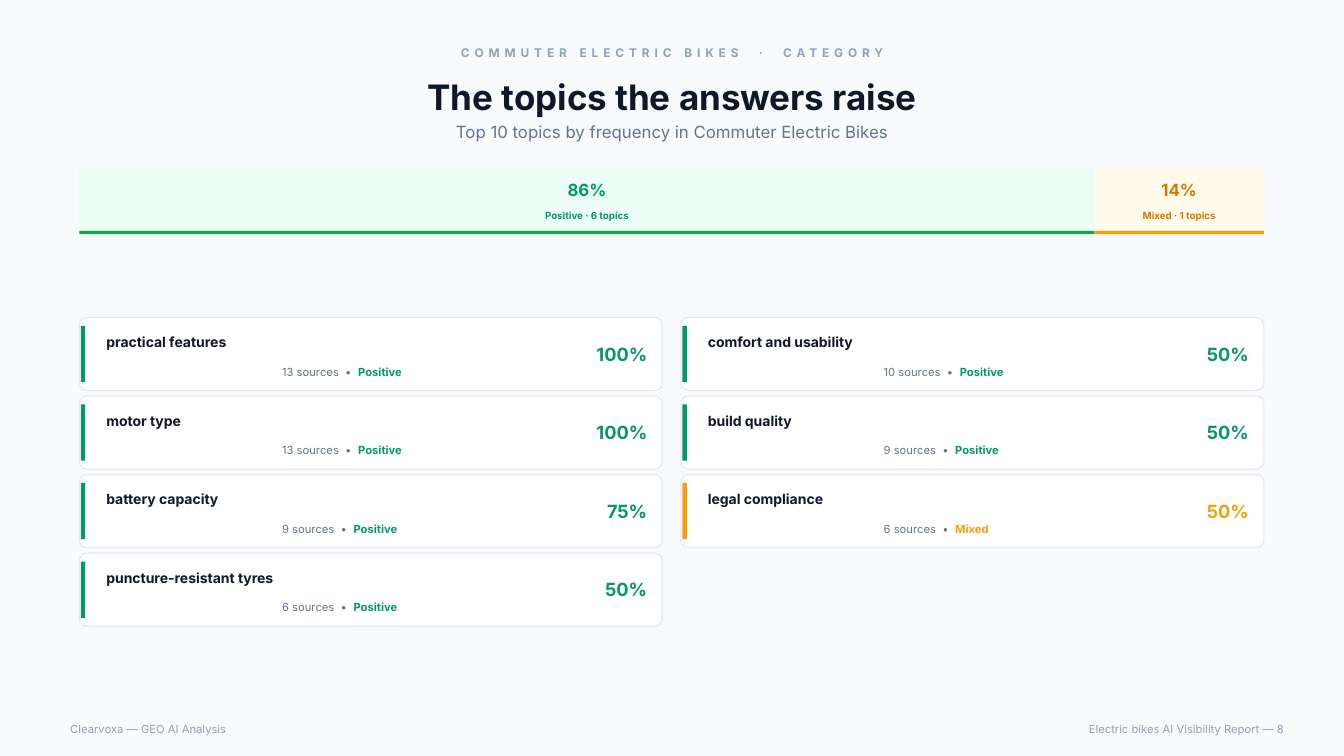
from pptx import Presentation
from pptx.dml.color import RGBColor
from pptx.enum.shapes import MSO_SHAPE
from pptx.enum.text import MSO_ANCHOR, MSO_AUTO_SIZE, PP_ALIGN
from pptx.util import Cm, Pt

LEFT, RIGHT = 2, 31.85
CENTER, END = PP_ALIGN.CENTER, PP_ALIGN.RIGHT
INK, SLATE, MUTED = "0F172A", "62748E", "90A1B9"
GREEN, AMBER = "059669", "F59E0B"

presentation = Presentation()
presentation.slide_width, presentation.slide_height = Cm(33.87), Cm(19.05)
slide = presentation.slides.add_slide(presentation.slide_layouts[5])
slide.background.fill.solid()
slide.background.fill.fore_color.rgb = RGBColor.from_string("F8FAFC")


def write(text, area, size, color, bold=False, align=PP_ALIGN.LEFT,
          anchor=MSO_ANCHOR.MIDDLE, holder=None):
    """Put one paragraph in area (left, top, width, height in cm) and return it."""
    box = holder or slide.shapes.add_textbox(0, 0, 0, 0)
    box.left, box.top, box.width, box.height = map(Cm, area)
    frame = box.text_frame
    frame.word_wrap = True
    frame.auto_size = MSO_AUTO_SIZE.NONE
    frame.vertical_anchor = anchor
    paragraph = frame.paragraphs[0]
    paragraph.add_run().text = text
    paragraph.alignment = align
    font = paragraph.font
    font.name, font.size, font.bold = "Inter", Pt(size), bold
    font.color.rgb = RGBColor.from_string(color)
    return paragraph


def draw(kind, area, fill, outline=None):
    shape = slide.shapes.add_shape(kind, *map(Cm, area))
    shape.shadow.inherit = False
    shape.fill.solid()
    shape.fill.fore_color.rgb = RGBColor.from_string(fill)
    if outline:
        shape.line.color.rgb = RGBColor.from_string(outline)
        shape.line.width = Pt(0.75)
    else:
        shape.line.fill.background()
    return shape


# Heading and footer
write("The topics the answers raise", (1.52, 1.73, 30.84, 1.42), 25, INK, True,
      CENTER, holder=slide.shapes.title)
eyebrow = write("COMMUTER ELECTRIC BIKES  ·  CATEGORY", (1.52, 1.02, 30.84, 0.64),
                8.5, MUTED, True, CENTER)
eyebrow.runs[0]._r.get_or_add_rPr().set("spc", "350")
write("Top 10 topics by frequency in Commuter Electric Bikes",
      (1.52, 3, 30.84, 0.64), 12, SLATE, align=CENTER)
write("Clearvoxa — GEO AI Analysis", (1.52, 18.08, 15.16, 0.56), 8, MUTED)
write("Electric bikes AI Visibility Report — 8", (17.3, 18.08, 15.32, 0.56),
      8, MUTED, align=END)

# Sentiment bar, split by number of topics
sentiments = [
    ("86%", "Positive", 6, "ECFDF5", "16A34A", GREEN),
    ("14%", "Mixed", 1, "FFFBEB", AMBER, "D97706"),
]
topic_total = sum(sentiment[2] for sentiment in sentiments)
left = LEFT
for share, mood, count, tint, edge, color in sentiments:
    width = (RIGHT - LEFT) * count / topic_total
    draw(MSO_SHAPE.RECTANGLE, (left, 4.24, width, 1.66), tint)
    draw(MSO_SHAPE.RECTANGLE, (left, 5.82, width, 0.08), edge)
    write(share, (left, 4.42, width, 0.71), 12, color, True, CENTER)
    write(f"{mood} · {count} topics", (left, 5.16, width, 0.56), 7, color, True, CENTER)
    left += width

# Topic cards, filled column by column
topics = [
    ("practical features", 13, "Positive", "100%"),
    ("motor type", 13, "Positive", "100%"),
    ("battery capacity", 9, "Positive", "75%"),
    ("puncture-resistant tyres", 6, "Positive", "50%"),
    ("comfort and usability", 10, "Positive", "50%"),
    ("build quality", 9, "Positive", "50%"),
    ("legal compliance", 6, "Mixed", "50%"),
]
ROWS = 4
CARD_WIDTH, CARD_HEIGHT = 14.69, 1.84
COLUMN_STEP, ROW_STEP = RIGHT - LEFT - CARD_WIDTH, 1.98
mood_colors = {"Positive": GREEN, "Mixed": AMBER}
for index, (topic, sources, mood, frequency) in enumerate(topics):
    column, row = divmod(index, ROWS)
    left, top = LEFT + column * COLUMN_STEP, 8 + row * ROW_STEP
    color = mood_colors[mood]
    card = draw(MSO_SHAPE.ROUNDED_RECTANGLE, (left, top, CARD_WIDTH, CARD_HEIGHT),
                "FFFFFF", "E2E8F0")
    card.adjustments[0] = 0.1
    draw(MSO_SHAPE.RECTANGLE, (left + 0.04, top + 0.21, 0.11, 1.42), color)
    write(topic, (left + 0.43, top + 0.28, 11.5, 0.69), 10, INK, True,
          anchor=MSO_ANCHOR.TOP)
    detail = write(f"{sources} sources  •  ", (left + 4.86, top + 1.07, 7.08, 0.56),
                   8, SLATE, anchor=MSO_ANCHOR.TOP)
    verdict = detail.add_run()
    verdict.text = mood
    verdict.font.bold = True
    verdict.font.color.rgb = RGBColor.from_string(color)
    write(frequency, (left + 12.06, top, 2.5, CARD_HEIGHT), 13, color, True, END)

presentation.save("out.pptx")
